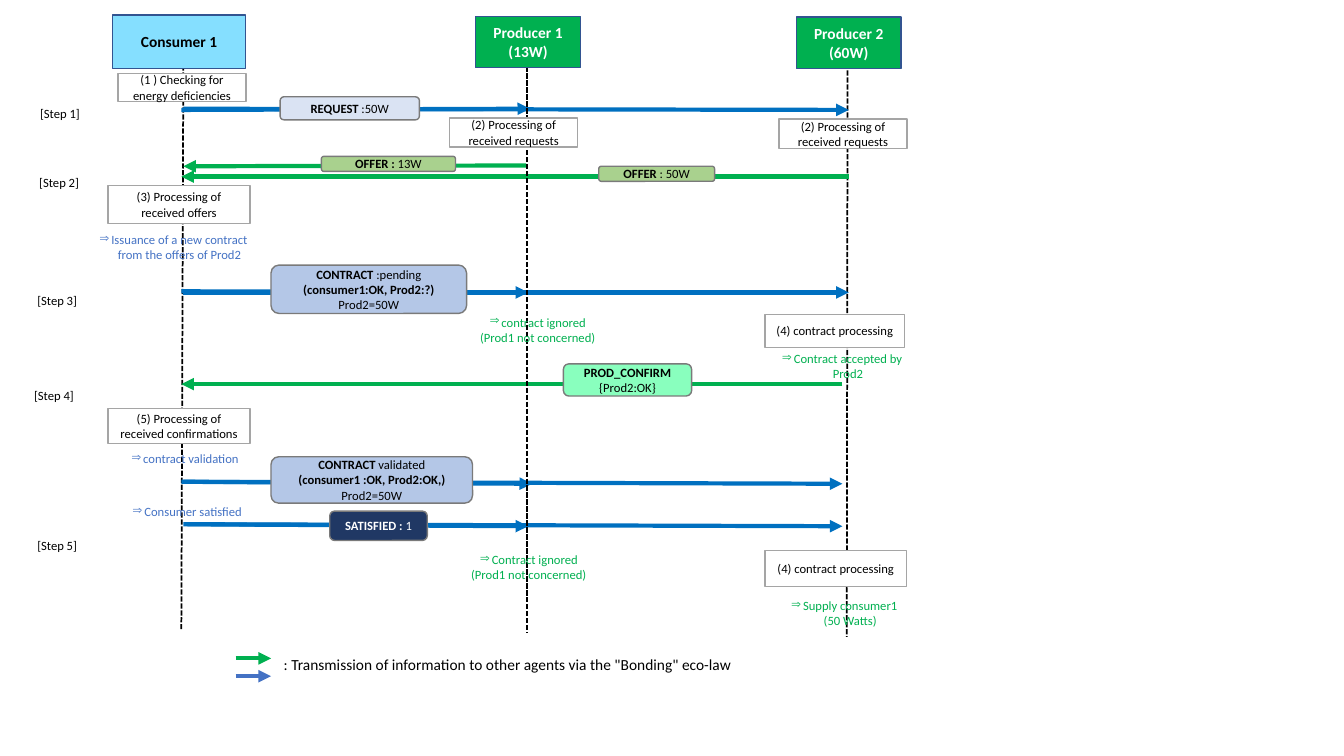
import dataclasses
import typing

import pptx
import pptx.dml.color
import pptx.enum.dml
import pptx.enum.shapes
import pptx.enum.text
import pptx.oxml.ns
import pptx.util
from lxml import etree

Cm = pptx.util.Cm
Kind = pptx.enum.shapes.MSO_SHAPE
Align = pptx.enum.text.PP_ALIGN


@dataclasses.dataclass(frozen=True)
class Theme:
    font: str = "Calibri"
    small: float = 9
    large: float = 11
    thin: float = 1
    dash: float = 1.25
    thick: float = 3
    black: str = "000000"
    white: str = "FFFFFF"
    sky: str = "85DFFF"
    green: str = "00B050"
    blue: str = "0070C0"
    soft: str = "4472C4"
    edge: str = "325491"
    grey: str = "A5A5A5"
    dark: str = "7A7A7A"
    offer: str = "A9D18E"
    mint: str = "89FFBE"
    pale: str = "DAE3F3"
    steel: str = "B4C7E7"
    navy: str = "203864"


THEME = Theme()


class Bit(typing.NamedTuple):
    text: str
    bold: bool = False


Lines = tuple[tuple[Bit, ...], ...]


class Place(typing.NamedTuple):
    left: float
    top: float
    width: float
    height: float


class Line(typing.NamedTuple):
    x1: float
    y1: float
    x2: float
    y2: float
    tint: str


class Box(typing.NamedTuple):
    place: Place
    lines: Lines
    fill: str
    edge: str
    ink: str = THEME.black
    size: float = THEME.small
    kind: typing.Any = Kind.RECTANGLE


class Note(typing.NamedTuple):
    place: Place
    lines: Lines
    ink: str = THEME.black
    size: float = THEME.small
    mark: bool = False


def plain(*texts: str, bold: bool = False) -> Lines:
    return tuple((Bit(text, bold),) for text in texts)


def head(place: Place, fill: str, ink: str, *texts: str) -> Box:
    return Box(place, plain(*texts, bold=True), fill, THEME.edge, ink, THEME.large)


def task(place: Place, text: str) -> Box:
    return Box(place, plain(text), THEME.white, THEME.grey)


def message(place: Place, fill: str, *lines: tuple[Bit, ...], ink: str = THEME.black) -> Box:
    return Box(place, lines, fill, THEME.dark, ink, kind=Kind.ROUNDED_RECTANGLE)


def result(place: Place, ink: str, *texts: str) -> Note:
    return Note(place, plain(*texts), ink, mark=True)


LIVES = (
    Line(4.62, 1.65, 4.57, 15.85, THEME.black),
    Line(21.36, 1.07, 21.34, 16.05, THEME.black),
)
MIDDLE = Line(13.28, 0.97, 13.28, 15.95, THEME.black)

ARROWS = (
    Line(4.57, 2.77, 13.36, 2.74, THEME.blue),
    Line(4.62, 2.74, 21.39, 2.77, THEME.blue),
    Line(13.26, 4.17, 4.62, 4.19, THEME.green),
    Line(21.39, 4.45, 4.57, 4.45, THEME.green),
    Line(4.62, 7.37, 21.39, 7.37, THEME.blue),
    Line(4.57, 7.34, 13.31, 7.37, THEME.blue),
    Line(21.23, 9.68, 4.57, 9.68, THEME.green),
    Line(4.62, 12.14, 21.23, 12.19, THEME.blue),
    Line(4.57, 12.14, 13.41, 12.19, THEME.blue),
    Line(4.72, 13.21, 21.23, 13.26, THEME.blue),
    Line(4.62, 13.21, 13.31, 13.26, THEME.blue),
    Line(5.94, 16.59, 6.83, 16.59, THEME.green),
    Line(5.94, 17.04, 6.83, 17.04, THEME.soft),
)

BOXES = (
    head(Place(2.84, 0.38, 3.35, 1.35), THEME.sky, THEME.black, "Consumer 1"),
    head(Place(11.99, 0.41, 2.64, 1.3), THEME.green, THEME.white, "Producer 1", "(13W)"),
    head(Place(20.07, 0.43, 2.64, 1.3), THEME.green, THEME.white, "Producer 2", "(60W)"),
    task(Place(2.97, 1.85, 3.23, 0.71), "(1 ) Checking for energy deficiencies"),
    task(Place(11.33, 2.97, 3.23, 0.74), "(2) Processing of received requests"),
    task(Place(19.63, 3, 3.23, 0.74), "(2) Processing of received requests"),
    task(Place(2.72, 4.67, 3.58, 0.97), "(3) Processing of received offers"),
    task(Place(19.28, 7.92, 3.51, 0.84), "(4) contract processing"),
    task(Place(2.72, 10.29, 3.58, 0.89), "(5) Processing of received confirmations"),
    task(Place(19.28, 13.87, 3.56, 0.91), "(4) contract processing"),
    message(Place(7.06, 2.44, 3.51, 0.58), THEME.pale,
            (Bit("REQUEST", True), Bit(" :50W"))),
    message(Place(8.1, 3.94, 3.38, 0.38), THEME.offer,
            (Bit("OFFER : ", True), Bit("13W"))),
    message(Place(15.09, 4.19, 2.92, 0.38), THEME.offer,
            (Bit("OFFER", True), Bit(" : 50W"))),
    message(Place(6.83, 6.68, 4.93, 1.22), THEME.steel,
            (Bit("CONTRACT ", True), Bit(":pending")),
            (Bit("(consumer1:OK, Prod2:?)", True),), (Bit("Prod2=50W"),)),
    message(Place(14.2, 9.17, 3.23, 0.81), THEME.mint,
            (Bit("PROD_CONFIRM", True),), (Bit("{Prod2:OK}"),)),
    message(Place(6.83, 11.51, 5.08, 1.17), THEME.steel,
            (Bit("CONTRACT", True), Bit(" validated")),
            (Bit("(consumer1 :OK, Prod2:OK,)", True),), (Bit("Prod2=50W"),)),
    message(Place(8.31, 12.88, 2.46, 0.74), THEME.navy,
            (Bit("SATISFIED : ", True), Bit("1")), ink=THEME.white),
)

STEPS = ((0.76, 2.54), (0.74, 4.29), (0.69, 7.26), (0.61, 9.65), (0.69, 13.44))
NOTES = (
    *(Note(Place(left, top, 1.6, 0.64), plain(f"[Step {count}]"))
      for count, (left, top) in enumerate(STEPS, 1)),
    result(Place(2.01, 5.72, 4.72, 1.02), THEME.soft,
           "Issuance of a new contract from the offers of Prod2"),
    result(Place(1.93, 11.23, 5.46, 0.64), THEME.soft, "contract validation"),
    result(Place(2.77, 12.57, 3.89, 0.64), THEME.soft, "Consumer satisfied"),
    result(Place(10.69, 7.8, 5.72, 1.02), THEME.green,
           "contract ignored", "(Prod1 not concerned)"),
    result(Place(11.61, 13.79, 3.43, 1.02), THEME.green,
           "Contract ignored", "(Prod1 not concerned)"),
    result(Place(19.15, 8.71, 4.14, 1.02), THEME.green, "Contract accepted by Prod2"),
    result(Place(19.56, 14.94, 3.43, 1.02), THEME.green, "Supply consumer1 (50 Watts)"),
    Note(Place(6.9, 16.38, 12.31, 0.74),
         plain(': Transmission of information to other agents via the "Bonding" eco-law'),
         size=THEME.large),
)


def paint(tint: str) -> pptx.dml.color.RGBColor:
    return pptx.dml.color.RGBColor.from_string(tint)


def tag(parent: typing.Any, name: str, **values: str) -> None:
    etree.SubElement(parent, pptx.oxml.ns.qn(name), values)


def draw_line(slide: typing.Any, line: Line, life: bool = False) -> None:
    """Draw a dashed lifeline or a thick arrow."""
    shape = slide.shapes.add_connector(
        pptx.enum.shapes.MSO_CONNECTOR.STRAIGHT,
        Cm(line.x1), Cm(line.y1), Cm(line.x2), Cm(line.y2))
    shape.line.color.rgb = paint(line.tint)
    shape.line.width = pptx.util.Pt(THEME.dash if life else THEME.thick)
    if life:
        shape.line.dash_style = pptx.enum.dml.MSO_LINE.SQUARE_DOT
    else:
        tag(shape.line._get_or_add_ln(), "a:tailEnd", type="triangle")
    tag(shape._element.spPr, "a:effectLst")


def write(frame: typing.Any, item: Box | Note, align: typing.Any, mark: bool = False) -> None:
    """Fill a frame run by run; mark puts an arrow bullet on the first line."""
    frame.word_wrap = True
    for count, bits in enumerate(item.lines):
        para = frame.paragraphs[0] if count == 0 else frame.add_paragraph()
        para.alignment = align
        if mark and count == 0:
            props = para._p.get_or_add_pPr()
            props.set("marL", str(Cm(0.3)))
            props.set("indent", str(Cm(-0.3)))
            tag(props, "a:buChar", char="⇒")
        for bit in bits:
            run = para.add_run()
            run.text = bit.text
            run.font.name = THEME.font
            run.font.size = pptx.util.Pt(item.size)
            run.font.bold = bit.bold
            run.font.color.rgb = paint(item.ink)


def draw_box(slide: typing.Any, box: Box) -> None:
    shape = slide.shapes.add_shape(box.kind, *map(Cm, box.place))
    shape.shadow.inherit = False
    shape.fill.solid()
    shape.fill.fore_color.rgb = paint(box.fill)
    shape.line.color.rgb = paint(box.edge)
    shape.line.width = pptx.util.Pt(THEME.thin)
    shape.text_frame.vertical_anchor = pptx.enum.text.MSO_ANCHOR.MIDDLE
    write(shape.text_frame, box, Align.CENTER)


def draw_note(slide: typing.Any, note: Note) -> None:
    shape = slide.shapes.add_textbox(*map(Cm, note.place))
    write(shape.text_frame, note, Align.CENTER if note.mark else Align.LEFT, note.mark)


def main() -> None:
    deck = pptx.Presentation()
    deck.slide_width, deck.slide_height = Cm(33.87), Cm(19.05)
    slide = deck.slides.add_slide(deck.slide_layouts[6])
    for life in LIVES:
        draw_line(slide, life, life=True)
    for arrow in ARROWS:
        draw_line(slide, arrow)
    draw_line(slide, MIDDLE, life=True)
    for box in BOXES:
        draw_box(slide, box)
    for note in NOTES:
        draw_note(slide, note)
    deck.save("out.pptx")


if __name__ == "__main__":
    main()
